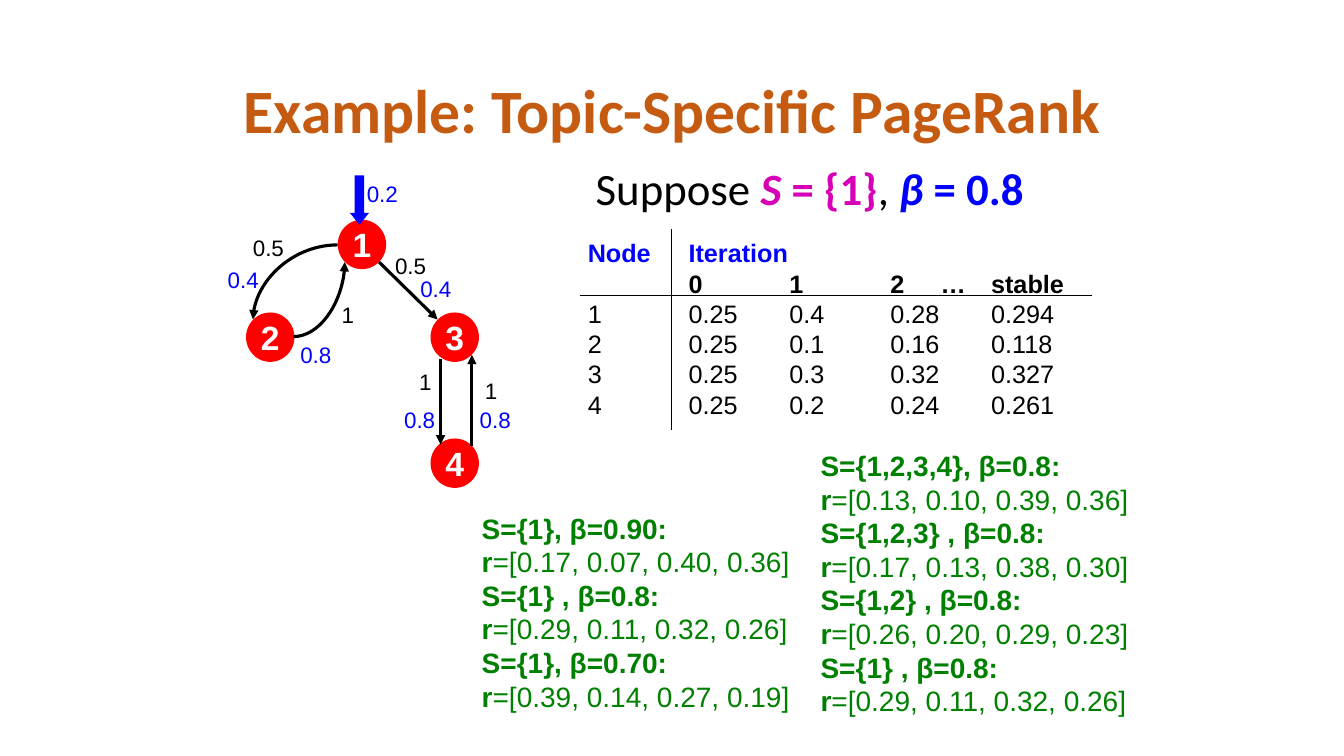
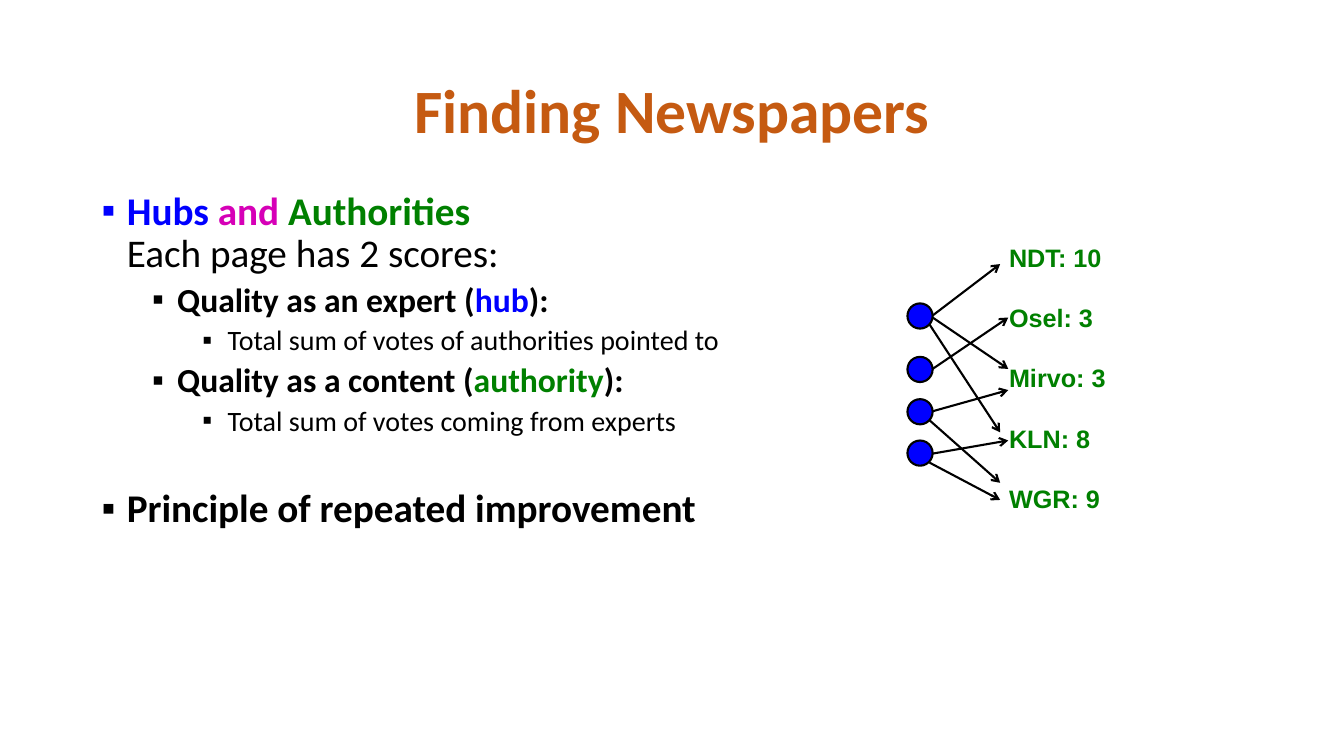
from dataclasses import dataclass
from typing import Any, NamedTuple

from lxml import etree
from pptx import Presentation, util as u
from pptx.dml.color import RGBColor
from pptx.enum import shapes as sh, text as tx
from pptx.oxml.ns import qn

BLACK = RGBColor(0, 0, 0)
WHITE = RGBColor(255, 255, 255)
RED = RGBColor(255, 0, 0)
BLUE = RGBColor(0, 0, 255)
GREEN = RGBColor(0, 128, 0)
PINK = RGBColor(0xD6, 0, 0xB7)
RUST = RGBColor(0xC5, 0x5A, 0x11)

GRID = u.Inches(0.1)
LEAD = 1.2
TITLE_BOX = (9.2, 4, 115, 14.5)


class Run(NamedTuple):
    text: str
    color: RGBColor | None = None
    bold: bool | None = None
    slant: bool = False


@dataclass
class Level:
    size: int
    indent: float
    before: int


@dataclass
class Point:
    level: Level
    runs: list[Run]
    before: int | None = None


@dataclass
class Tag:
    text: str
    col: float
    row: float
    color: RGBColor = BLACK


@dataclass
class Arrow:
    start: tuple[float, float]
    end: tuple[float, float]
    curve: bool = False


def at(n: float) -> int:
    return round(n * GRID)


def write(para: Any, runs: str | list[Run], *, size: float, font: str = "Arial",
          color: RGBColor = BLACK, bold: bool = False, align: Any = None,
          lead: Any = None, before: float = 0, after: float = 0) -> None:
    para.alignment = align
    para.line_spacing = lead or u.Pt(size * LEAD)
    para.space_before, para.space_after = u.Pt(before), u.Pt(after)
    for run in [Run(runs)] if isinstance(runs, str) else runs:
        for n, part in enumerate(run.text.split("\n")):
            if n:
                para.add_line_break()
            if part:
                r = para.add_run()
                r.text = part
                r.font.size, r.font.name = u.Pt(size), font
                r.font.bold = bold if run.bold is None else run.bold
                r.font.italic = run.slant
                r.font.color.rgb = run.color or color


def add_box(slide: Any, box: tuple[float, ...], lines: list[Any],
            anchor: Any = tx.MSO_ANCHOR.TOP, **form: Any) -> None:
    frame = slide.shapes.add_textbox(*map(at, box)).text_frame
    frame.word_wrap = True
    frame.vertical_anchor = anchor
    for n, line in enumerate(lines):
        write(frame.add_paragraph() if n else frame.paragraphs[0], line, **form)


def add_title(slide: Any, text: str) -> None:
    add_box(slide, TITLE_BOX, [text], tx.MSO_ANCHOR.MIDDLE, size=44, font="Calibri",
            color=RUST, bold=True, align=tx.PP_ALIGN.CENTER, lead=0.9)


def add_form(slide: Any, kind: Any, box: tuple[float, ...], fill: RGBColor,
             edge: RGBColor | None = None) -> Any:
    form = slide.shapes.add_shape(kind, *map(at, box))
    form.shadow.inherit = False
    form.fill.solid()
    form.fill.fore_color.rgb = fill
    if edge is None:
        form.line.fill.background()
    else:
        form.line.color.rgb = edge
        form.line.width = u.Pt(1.5)
    return form


def add_line(slide: Any, arrow: Arrow, width: float, head: str | None = None) -> None:
    kind = sh.MSO_CONNECTOR.CURVE if arrow.curve else sh.MSO_CONNECTOR.STRAIGHT
    line = slide.shapes.add_connector(kind, *map(at, arrow.start + arrow.end))
    line.line.color.rgb = BLACK
    line.line.width = u.Pt(width)
    props = line.element.spPr
    if arrow.curve:
        props.find(qn("a:prstGeom")).set("prst", "curvedConnector2")
    if head:
        etree.SubElement(props.find(qn("a:ln")), qn("a:tailEnd"), type=head)
    etree.SubElement(props, qn("a:effectLst"))


def add_points(slide: Any, box: tuple[float, ...], points: list[Point]) -> None:
    frame = slide.shapes.add_textbox(*map(at, box)).text_frame
    frame.word_wrap = True
    for n, point in enumerate(points):
        para = frame.add_paragraph() if n else frame.paragraphs[0]
        level = point.level
        write(para, point.runs, size=level.size, font="Calibri", lead=0.9,
              before=point.before or level.before)
        props = para._p.get_or_add_pPr()
        props.set("marL", str(at(level.indent)))
        props.set("indent", str(at(-2.5)))
        etree.SubElement(props, qn("a:buFont"), typeface="Arial")
        etree.SubElement(props, qn("a:buChar"), char="▪")


def add_ranks(slide: Any) -> None:
    rows = [
        ["Node", "Iteration", "", "", "", ""],
        ["", "0", "1", "2", "…", "stable"],
        ["1", "0.25", "0.4", "0.28", "", "0.294"],
        ["2", "0.25", "0.1", "0.16", "", "0.118"],
        ["3", "0.25", "0.3", "0.32", "", "0.327"],
        ["4", "0.25", "0.2", "0.24", "", "0.261"],
    ]
    widths = [10, 10, 10, 5, 5, 8.5]
    box = (58.3, 23.6, sum(widths), 3 * len(rows))
    table = slide.shapes.add_table(len(rows), len(widths), *map(at, box)).table
    table.first_row = table.horz_banding = False
    for col, width in zip(table.columns, widths):
        col.width = at(width)
    for r, row in enumerate(rows):
        table.rows[r].height = at(3)
        for c, text in enumerate(row):
            cell = table.cell(r, c)
            cell.fill.background()
            cell.margin_left = cell.margin_right = 0
            cell.margin_top = cell.margin_bottom = 0
            cell.vertical_anchor = tx.MSO_ANCHOR.MIDDLE
            para = cell.text_frame.paragraphs[0]
            para.font.size = u.Pt(18)
            write(para, text, size=18, bold=r < 2, color=BLACK if r else BLUE)
    add_line(slide, Arrow((57.5, 29.3), (108.3, 29.3)), 0.75)
    add_line(slide, Arrow((66.6, 22.7), (66.6, 42.7)), 0.75)


def add_graph(slide: Any) -> None:
    nodes = [(33.5, 21.8), (24.4, 31), (42.7, 31), (42.7, 43.5)]
    for n, (col, row) in enumerate(nodes, 1):
        node = add_form(slide, sh.MSO_SHAPE.OVAL, (col, row, 4.8, 4.9), RED)
        frame = node.text_frame
        frame.word_wrap = False
        frame.vertical_anchor = tx.MSO_ANCHOR.MIDDLE
        write(frame.paragraphs[0], str(n), size=24, bold=True, color=WHITE,
              align=tx.PP_ALIGN.CENTER)
    for edge in [
        Arrow((33.5, 24.3), (25.1, 31.7), True),
        Arrow((29.1, 33.4), (34.2, 26), True),
        Arrow((37.6, 26), (43.4, 31.7)),
        Arrow((43.7, 35.6), (43.7, 44.1)),
        Arrow((46.8, 44.2), (46.8, 35.2)),
    ]:
        add_line(slide, edge, 2.25, "triangle")
    jump = add_form(slide, sh.MSO_SHAPE.DOWN_ARROW, (34.7, 17.4, 1.9, 4.9), BLUE)
    jump.adjustments[1] = 0.625
    for tag in [
        Tag("0.2", 35.4, 17.4, BLUE),
        Tag("0.5", 38.2, 24.5),
        Tag("0.5", 24.1, 22.7),
        Tag("1", 32.9, 29.4),
        Tag("1", 40.6, 36),
        Tag("1", 47.1, 36.9),
        Tag("0.4", 21.6, 25.9, BLUE),
        Tag("0.4", 40.7, 26.8, BLUE),
        Tag("0.8", 28.8, 33.4, BLUE),
        Tag("0.8", 39.1, 39.8, BLUE),
        Tag("0.8", 46.6, 39.8, BLUE),
    ]:
        add_box(slide, (tag.col, tag.row, 6, 3.7), [tag.text], size=16, color=tag.color)


def add_cases(slide: Any, col: float, row: float, cases: list[tuple[str, str]]) -> None:
    lines = []
    for head, ranks in cases:
        lines += [[Run(head, bold=True)], [Run("r", bold=True), Run(f"=[{ranks}]")]]
    add_box(slide, (col, row, 34, 1 + 3.35 * len(lines)), lines, size=20, color=GREEN)


def draw_rank(slide: Any) -> None:
    add_title(slide, "Example: Topic-Specific PageRank")
    add_graph(slide)
    add_box(slide, (58.1, 15.5, 48, 6.4), [[
        Run("Suppose "), Run("S", PINK, True, True), Run(" = {1}", PINK, True),
        Run(", "), Run("β ", BLUE, True, True), Run("= 0.8", BLUE, True),
    ]], size=32, font="Calibri", lead=1.0)
    add_ranks(slide)
    add_cases(slide, 80.4, 44, [
        ("S={1,2,3,4}, β=0.8:", "0.13, 0.10, 0.39, 0.36"),
        ("S={1,2,3} , β=0.8:", "0.17, 0.13, 0.38, 0.30"),
        ("S={1,2} , β=0.8:", "0.26, 0.20, 0.29, 0.23"),
        ("S={1} , β=0.8:", "0.29, 0.11, 0.32, 0.26"),
    ])
    add_cases(slide, 46.8, 50.2, [
        ("S={1}, β=0.90:", "0.17, 0.07, 0.40, 0.36"),
        ("S={1} , β=0.8:", "0.29, 0.11, 0.32, 0.26"),
        ("S={1}, β=0.70:", "0.39, 0.14, 0.27, 0.19"),
    ])


def draw_news(slide: Any) -> None:
    add_title(slide, "Finding Newspapers")
    top, mid, low = Level(28, 2.5, 10), Level(24, 7.5, 5), Level(20, 12.5, 5)
    add_points(slide, (9.1, 18.5, 115, 53.7), [
        Point(top, [Run("Hubs ", BLUE, True), Run("and ", PINK, True),
                    Run("Authorities\n", GREEN, True), Run("Each page has 2 scores:")]),
        Point(mid, [Run("Quality as an expert (", bold=True), Run("hub", BLUE, True),
                    Run("):", bold=True)]),
        Point(low, [Run("Total sum of votes of authorities pointed to")]),
        Point(mid, [Run("Quality as a content (", bold=True),
                    Run("authority", GREEN, True), Run("):", bold=True)]),
        Point(low, [Run("Total sum of votes coming from experts")]),
        Point(top, [Run("Principle of repeated improvement", bold=True)], 37),
    ])
    add_box(slide, (99.1, 23.5, 14, 28.3),
            ["NDT: 10", "Osel: 3", "Mirvo: 3", "KLN: 8", "WGR: 9"],
            size=18, color=GREEN, bold=True, after=18 * LEAD)
    for row in (30.1, 35.4, 39.6, 43.7):
        add_form(slide, sh.MSO_SHAPE.OVAL, (90, row, 2.5, 2.5), BLUE, BLACK)
    for vote in [
        Arrow((92.5, 31.3), (99.2, 26.2)),
        Arrow((92.5, 31.5), (100, 36.6)),
        Arrow((92.2, 32.2), (99.2, 42.9)),
        Arrow((92.5, 36.6), (100, 31.5)),
        Arrow((92.5, 40.8), (100, 38.7)),
        Arrow((92.2, 41.7), (99.2, 47.9)),
        Arrow((92.5, 45), (100, 43.7)),
        Arrow((92.2, 45.9), (99.2, 49.6)),
    ]:
        add_line(slide, vote, 1.5, "arrow")


def main() -> None:
    deck = Presentation()
    deck.slide_width, deck.slide_height = u.Inches(13.33), u.Inches(7.5)
    for draw in (draw_rank, draw_news):
        draw(deck.slides.add_slide(deck.slide_layouts[6]))
    deck.save("out.pptx")


if __name__ == "__main__":
    main()
